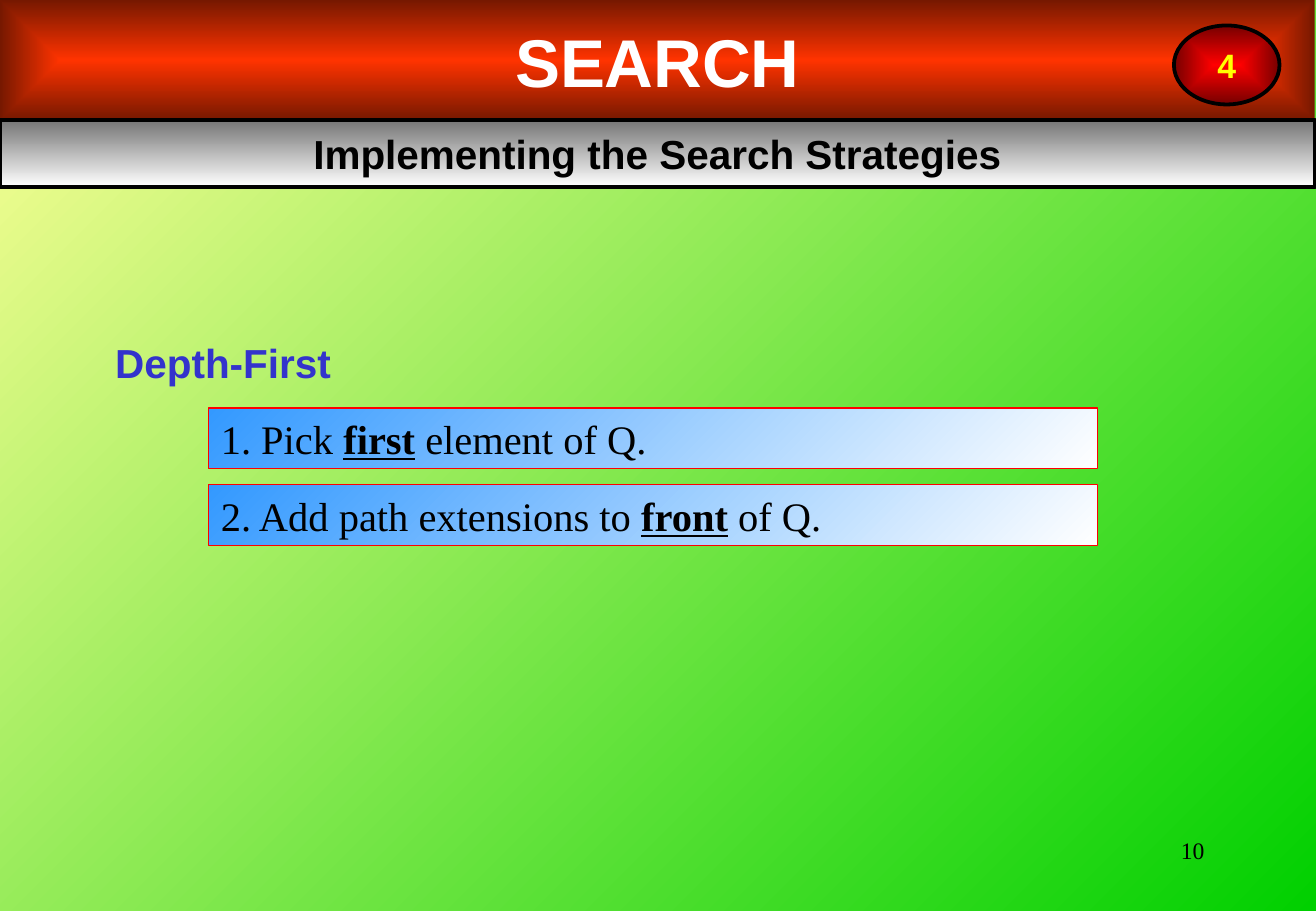
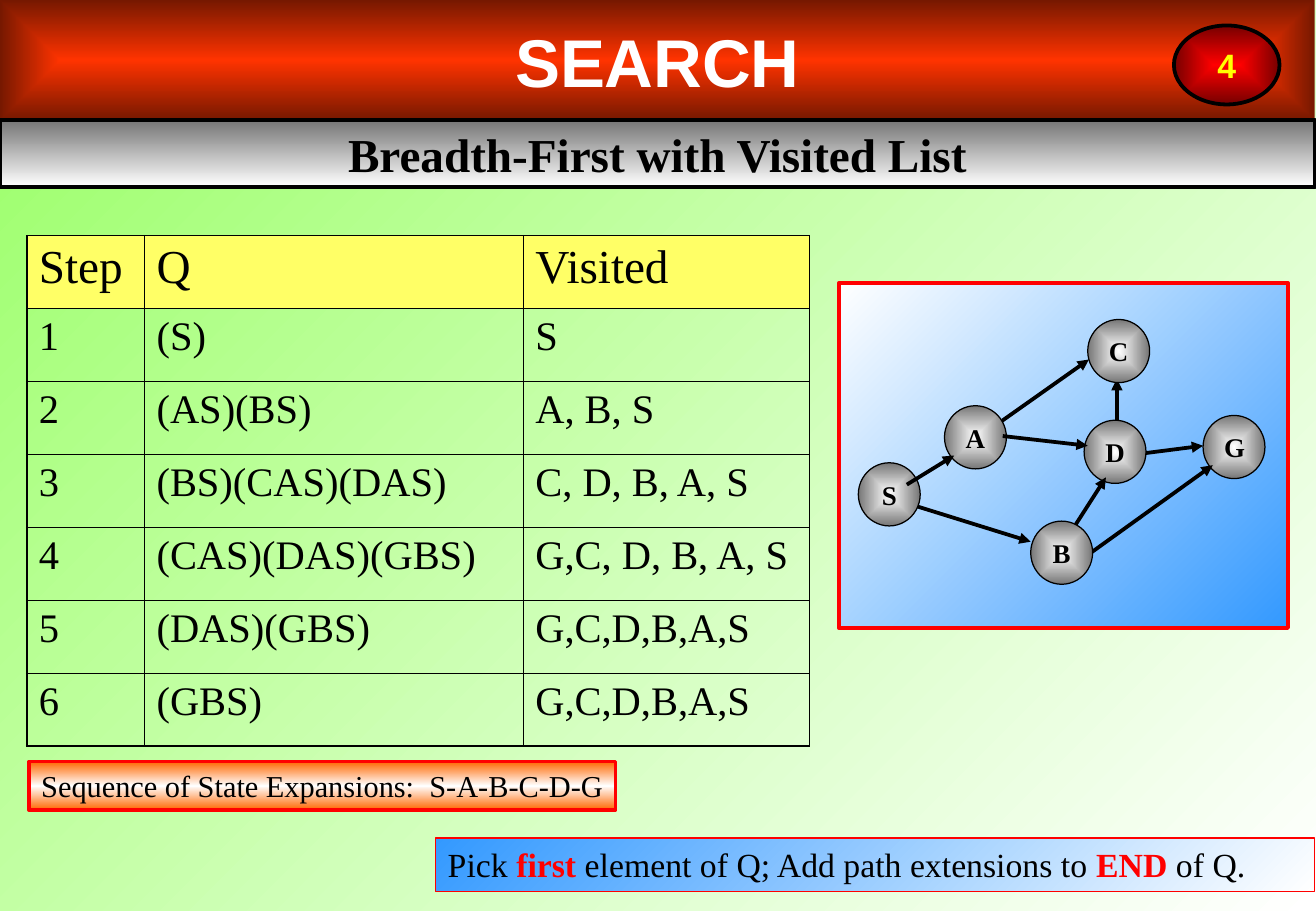
import pptx
import pptx.util
import pptx.dml.color
import pptx.enum.shapes
import pptx.enum.text
import pptx.oxml.ns
import lxml.etree

Inches, Pt = pptx.util.Inches, pptx.util.Pt
qn = pptx.oxml.ns.qn
MSO = pptx.enum.shapes.MSO_SHAPE
ALIGN = pptx.enum.text.PP_ALIGN
ANCHOR = pptx.enum.text.MSO_ANCHOR

HEX = {
    "black": "000000", "white": "FFFFFF", "red": "FF0000", "maroon": "760000",
    "flame": "FF3300", "rust": "761800", "grey": "767676", "yellow": "FFFF00",
    "head": "FFFF66", "sky": "3399FF", "indigo": "3333CC", "orange": "FF6600",
    "cream": "FFFF99", "green": "00D000", "lime": "99FF66",
}
SANS, SERIF = "Arial", "Times New Roman"
WIDTH, HEIGHT = 10.84, 7.5
BAND = 10.83

# Words between asterisks are emphasised
STEPS = ["1. Pick *first* element of Q.", "2. Add path extensions to *front* of Q."]
RULE = "Pick *first* element of Q; Add path extensions to *END* of Q."
ORDER = "Sequence of State Expansions:  S-A-B-C-D-G"

ROWS = [
    ("Step", "Q", "Visited"),
    ("1", "(S)", "S"),
    ("2", "(AS)(BS)", "A, B, S"),
    ("3", "(BS)(CAS)(DAS)", "C, D, B, A, S"),
    ("4", "(CAS)(DAS)(GBS)", "G,C, D, B, A, S"),
    ("5", "(DAS)(GBS)", "G,C,D,B,A,S"),
    ("6", "(GBS)", "G,C,D,B,A,S"),
]
COLS = [0.97, 3.12, 2.36]
ROW = 0.6

NODES = {"C": (8.96, 2.63), "A": (7.78, 3.34), "D": (8.93, 3.46),
         "G": (9.91, 3.42), "S": (7.07, 3.81), "B": (8.49, 4.29)}
EDGES = {
    "DC": (9.2, 3.67, 9.2, 3.12), "AC": (8.19, 3.51, 8.97, 2.96),
    "DG": (9.28, 3.75, 9.91, 3.67), "SB": (7.46, 4.14, 8.49, 4.46),
    "BD": (8.86, 4.32, 9.11, 3.93), "BG": (8.89, 4.62, 9.99, 3.83),
    "AD": (8.26, 3.59, 8.96, 3.67), "SA": (7.47, 3.99, 7.86, 3.75),
}
STACK = "DC AC DG C A D G SB BD BG AD S SA B".split()


def rgb(name):
    return pptx.dml.color.RGBColor.from_string(HEX[name])


def add(parent, tag, **attrs):
    node = lxml.etree.SubElement(parent, qn(tag))
    for key, value in attrs.items():
        node.set(key, str(value))
    return node


def blend(fill, root, names, angle=None):
    """Gradient of evenly spaced colours; from the centre outwards without an angle."""
    fill.gradient()
    grad = next(root.iter(qn("a:gradFill")))
    for child in list(grad):
        grad.remove(child)
    stops = add(grad, "a:gsLst")
    for i, name in enumerate(names):
        stop = add(stops, "a:gs", pos=100000 * i // (len(names) - 1))
        add(stop, "a:srgbClr", val=HEX[name])
    if angle is None:
        centre = add(grad, "a:path", path="rect")
        add(centre, "a:fillToRect", l=50000, t=50000, r=50000, b=50000)
    else:
        add(grad, "a:lin", ang=angle * 60000, scaled=1)


def write(frame, text, size, font=SERIF, color="black", bold=False,
          align=ALIGN.LEFT, anchor=ANCHOR.TOP, wrap=True, accent=None):
    frame.word_wrap, frame.vertical_anchor = wrap, anchor
    para = frame.paragraphs[0]
    para.alignment = align
    for i, part in enumerate(text.split("*")):
        run = para.add_run()
        run.text = part
        face = run.font
        strong = i % 2 == 1
        face.name, face.size, face.bold = font, Pt(size), bold or strong
        face.color.rgb = rgb(accent if strong and accent else color)
        if strong and not accent:
            face.underline = True


def panel(shapes, kind, at, names, angle=None, line=None, weight=2.25):
    shape = shapes.add_shape(kind, *map(Inches, at))
    shape.shadow.inherit = False
    blend(shape.fill, shape.element, names, angle)
    if line:
        shape.line.color.rgb = rgb(line)
        shape.line.width = Pt(weight)
    else:
        shape.line.fill.background()
    return shape


def label(slide, at, text, size, **style):
    box = slide.shapes.add_textbox(*map(Inches, at))
    write(box.text_frame, text, size, **style)


def bar(slide, at, text, size, accent=None):
    shape = panel(slide.shapes, MSO.RECTANGLE, at, ["sky", "white"], 45, "red", 0.75)
    write(shape.text_frame, text, size, accent=accent)


def base(deck, title, size, font, ground):
    """New slide with the ground, both bands and the chapter badge."""
    slide = deck.slides.add_slide(deck.slide_layouts[6])
    blend(slide.background.fill, slide.element, ground, 45)
    mid = dict(bold=True, align=ALIGN.CENTER, anchor=ANCHOR.MIDDLE)
    top = panel(slide.shapes, MSO.RECTANGLE, (0, 0, BAND, 0.99), ["flame", "rust"])
    write(top.text_frame, "SEARCH", 40, SANS, "white", **mid)
    sub = panel(slide.shapes, MSO.RECTANGLE, (0, 0.99, BAND, 0.55),
                ["grey", "white"], 90, "black")
    write(sub.text_frame, title, size, font, **mid)
    badge = panel(slide.shapes, MSO.OVAL, (9.67, 0.21, 0.87, 0.65),
                  ["red", "maroon"], line="black")
    write(badge.text_frame, "4", 20, SANS, "yellow", wrap=False, **mid)
    return slide


def edge(cell, row, col):
    """Cell borders, heavier on the outside of the table."""
    outer = {"a:lnL": col == 0, "a:lnR": col == len(COLS) - 1,
             "a:lnT": row == 0, "a:lnB": row == len(ROWS) - 1}
    props = cell._tc.get_or_add_tcPr()
    for i, (tag, thick) in enumerate(outer.items()):
        line = add(props, tag, w=Pt(1.08 if thick else 0.45))
        add(add(line, "a:solidFill"), "a:srgbClr", val=HEX["black"])
        props.insert(i, line)


def trace(slide):
    """Table of search steps."""
    frame = slide.shapes.add_table(
        len(ROWS), len(COLS), Inches(0.22), Inches(1.94),
        Inches(sum(COLS)), Inches(ROW * len(ROWS)))
    table = frame.table
    table.first_row = table.horz_banding = False
    for col, width in zip(table.columns, COLS):
        col.width = Inches(width)
    for r, texts in enumerate(ROWS):
        table.rows[r].height = Inches(ROW)
        for c, text in enumerate(texts):
            cell = table.cell(r, c)
            if r == 0:
                cell.fill.solid()
                cell.fill.fore_color.rgb = rgb("head")
            else:
                cell.fill.background()
            edge(cell, r, c)
            write(cell.text_frame, text, 24 if r else 28)


def arrow(shapes, ends):
    link = shapes.add_connector(
        pptx.enum.shapes.MSO_CONNECTOR.STRAIGHT, *map(Inches, ends))
    link.line.color.rgb = rgb("black")
    link.line.width = Pt(2.25)
    props = link.element.spPr
    add(props.find(qn("a:ln")), "a:tailEnd", type="triangle")
    add(props, "a:effectLst")


def graph(slide):
    shapes = slide.shapes.add_group_shape().shapes
    panel(shapes, MSO.RECTANGLE, (6.91, 2.33, 3.7, 2.84), ["white", "sky"], 45, "red")
    for name in STACK:
        if name in EDGES:
            arrow(shapes, EDGES[name])
        else:
            node = panel(shapes, MSO.OVAL, (*NODES[name], 0.51, 0.52),
                         ["white", "grey"], line="black", weight=0.75)
            write(node.text_frame, name, 16, bold=True,
                  align=ALIGN.CENTER, anchor=ANCHOR.MIDDLE)


def main():
    deck = pptx.Presentation()
    deck.slide_width, deck.slide_height = Inches(WIDTH), Inches(HEIGHT)

    depth = base(deck, "Implementing the Search Strategies", 24, SANS,
                 ["cream", "green"])
    label(depth, (7.76, 6.83, 2.26, 0.5), "10", 14, align=ALIGN.RIGHT)
    label(depth, (0.85, 2.73, 3.86, 0.5), "Depth-First", 24,
          font=SANS, color="indigo", bold=True)
    for i, step in enumerate(STEPS):
        bar(depth, (1.72, 3.36 + 0.63 * i, 7.32, 0.5), step, 24)

    breadth = base(deck, "Breadth-First with Visited List", 28, SERIF,
                   ["lime", "white"])
    bar(breadth, (3.59, 6.9, 7.24, 0.44), RULE, 20, "red")
    trace(breadth)
    states = panel(breadth.shapes, MSO.RECTANGLE, (0.24, 6.27, 4.83, 0.4),
                   ["orange", "white", "orange"], 90, "red")
    write(states.text_frame, ORDER, 18, align=ALIGN.CENTER, wrap=False)
    graph(breadth)

    deck.save("out.pptx")


if __name__ == "__main__":
    main()
